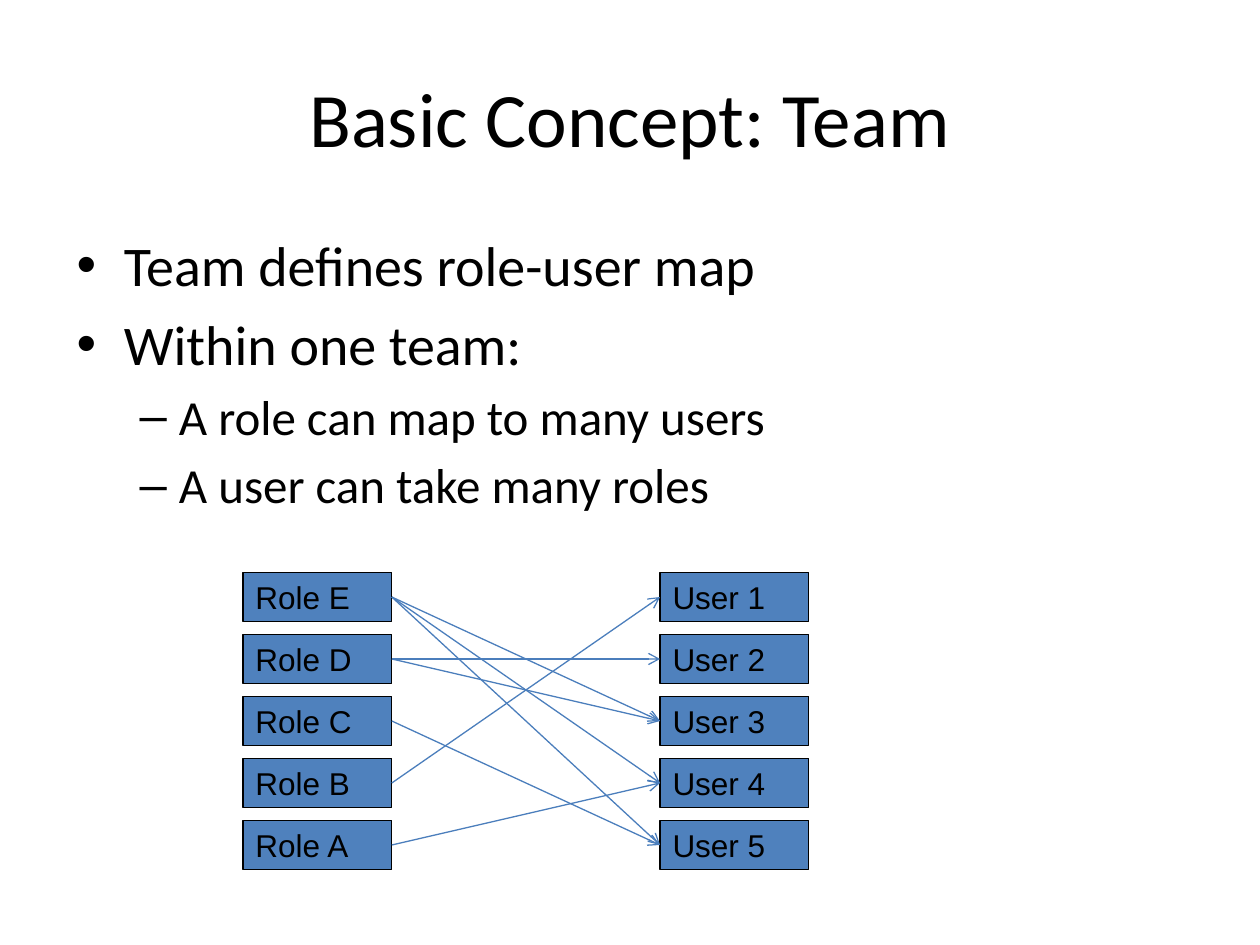
"""Build the slide on teams as a map from roles to users."""
from lxml import etree
from pptx import Presentation
from pptx.dml.color import RGBColor
from pptx.enum.shapes import MSO_CONNECTOR, MSO_SHAPE
from pptx.enum.text import MSO_ANCHOR, PP_ALIGN
from pptx.oxml.ns import qn
from pptx.util import Pt

LINE, RECT = MSO_CONNECTOR.STRAIGHT, MSO_SHAPE.RECTANGLE
MIDDLE = MSO_ANCHOR.MIDDLE
LEFT, CENTER = PP_ALIGN.LEFT, PP_ALIGN.CENTER

TITLE = "Basic Concept: Team"
POINTS = [
    (0, "Team defines role-user map"),
    (0, "Within one team:"),
    (1, "A role can map to many users"),
    (1, "A user can take many roles"),
]
LEVELS = [
    {"size": 32, "left": 27, "hang": 27, "mark": "•"},
    {"size": 28, "left": 58.5, "hang": 22.5, "mark": "–"},
]
ROLES = ["Role E", "Role D", "Role C", "Role B", "Role A"]
USERS = ["User 1", "User 2", "User 3", "User 4", "User 5"]
LINKS = {
    "Role E": ["User 3", "User 4", "User 5"],
    "Role D": ["User 3", "User 2"],
    "Role C": ["User 5"],
    "Role B": ["User 1"],
    "Role A": ["User 4"],
}
COLORS = {"back": "FFFFFF", "text": "000000", "box": "4F81BD", "link": "4B7EBC"}
ROLE_X, USER_X, TOP = 138.9, 377.2, 327
WIDE, HIGH, STEP = 85, 28.3, 35.43


def color(name):
    return RGBColor.from_string(COLORS[name])


def style(para, size, face, align=LEFT):
    para.alignment = align
    para.font.size = Pt(size)
    para.font.name = face
    para.font.color.rgb = color("text")


def add_text(x, y, wide, high):
    frame = slide.shapes.add_textbox(Pt(x), Pt(y), Pt(wide), Pt(high)).text_frame
    frame.word_wrap = True
    return frame


def add_mark(para, level):
    props = para._p.get_or_add_pPr()
    props.set("marL", str(Pt(level["left"])))
    props.set("indent", str(-Pt(level["hang"])))
    etree.SubElement(props, qn("a:buFont")).set("typeface", "Arial")
    etree.SubElement(props, qn("a:buChar")).set("char", level["mark"])


def add_box(label, x, row):
    box = slide.shapes.add_shape(RECT, Pt(x), Pt(TOP + row * STEP), Pt(WIDE), Pt(HIGH))
    box.shadow.inherit = False
    box.fill.solid()
    box.fill.fore_color.rgb = color("box")
    box.line.color.rgb = color("text")
    box.line.width = Pt(0.75)
    frame = box.text_frame
    frame.word_wrap = False
    frame.vertical_anchor = MIDDLE
    frame.text = label
    style(frame.paragraphs[0], 18, "Arial")
    return box


def add_link(role, user):
    link = slide.shapes.add_connector(LINE, 0, 0, 0, 0)
    link.begin_connect(role, 3)
    link.end_connect(user, 1)
    link.line.color.rgb = color("link")
    link.line.width = Pt(0.75)
    etree.SubElement(link.line._get_or_add_ln(), qn("a:tailEnd")).set("type", "arrow")
    etree.SubElement(link._element.spPr, qn("a:effectLst"))


deck = Presentation()
deck.slide_width, deck.slide_height = Pt(720), Pt(540)
slide = deck.slides.add_slide(deck.slide_layouts[6])
slide.background.fill.solid()
slide.background.fill.fore_color.rgb = color("back")

title = add_text(36, 21.6, 648, 90)
title.vertical_anchor = MIDDLE
title.text = TITLE
style(title.paragraphs[0], 44, "Calibri", CENTER)

body = add_text(36.7, 128.2, 648, 181.4)
body.text = "\n".join(text for _, text in POINTS)
for para, (depth, _) in zip(body.paragraphs, POINTS):
    level = LEVELS[depth]
    para.level = depth
    para.space_before = Pt(level["size"] * 0.2)
    style(para, level["size"], "Calibri")
    add_mark(para, level)

boxes = {}
for x, labels in ((ROLE_X, ROLES), (USER_X, USERS)):
    for row, label in enumerate(labels):
        boxes[label] = add_box(label, x, row)

for role, users in LINKS.items():
    for user in users:
        add_link(boxes[role], boxes[user])

deck.save("out.pptx")
